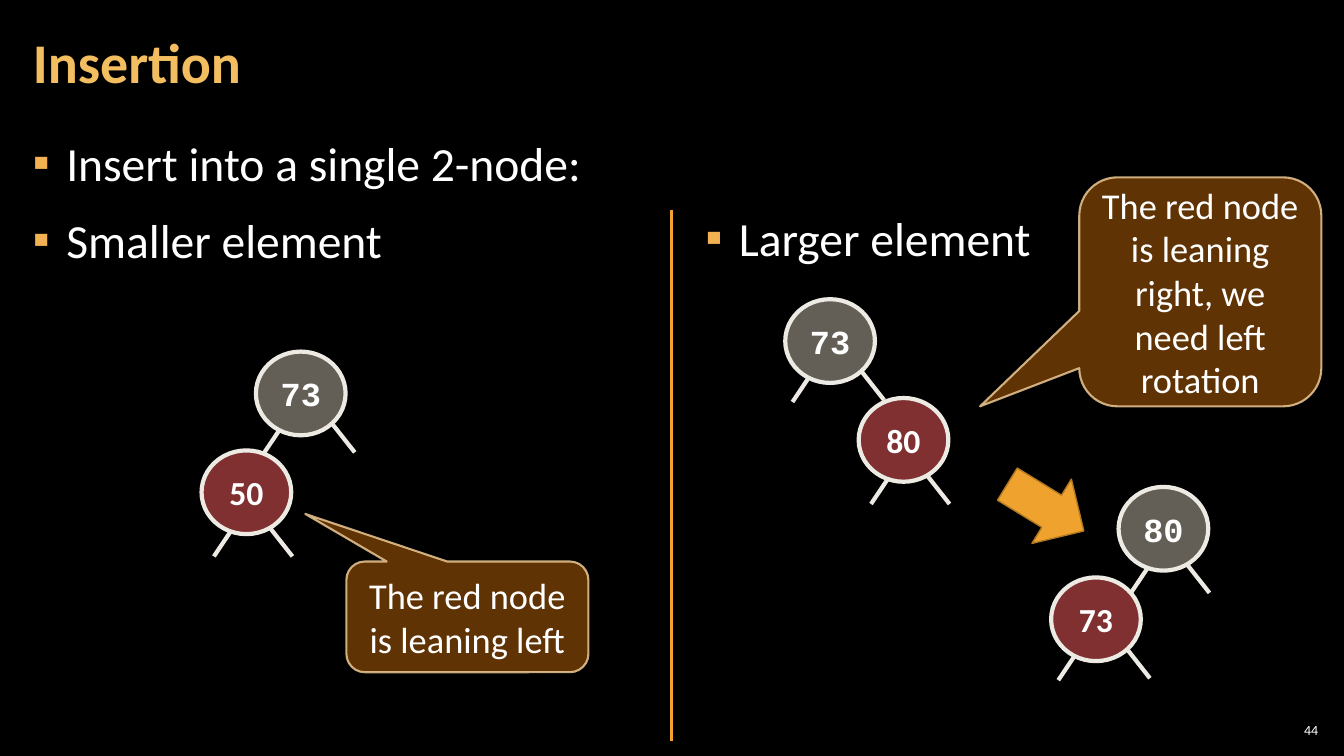
import pptx
import pptx.dml.color
import pptx.enum.shapes
import pptx.enum.text
import pptx.oxml.ns
import pptx.oxml.xmlchemy
import pptx.util
from lxml import etree
from pptx.dml.color import RGBColor
from pptx.util import Cm

BLACK = RGBColor(0x00, 0x00, 0x00)
WHITE = RGBColor(0xFF, 0xFF, 0xFF)
GOLD = RGBColor(0xF3, 0xBE, 0x60)
BULLET = RGBColor(0xF2, 0xB2, 0x54)
ORANGE = RGBColor(0xF0, 0xA2, 0x2E)
ARROW_EDGE = RGBColor(0xB2, 0x78, 0x22)
RED_NODE = RGBColor(0xFF, 0x61, 0x61)
BLACK_NODE = RGBColor(0xC7, 0xBF, 0xAC)
NODE_EDGE = RGBColor(0xEC, 0xEA, 0xE3)
CALLOUT = RGBColor(0x66, 0x36, 0x06)
CALLOUT_EDGE = RGBColor(0xF8, 0xD4, 0x9E)

ALIGN = pptx.enum.text.PP_ALIGN
ANCHOR = pptx.enum.text.MSO_ANCHOR
SHAPE = pptx.enum.shapes.MSO_SHAPE
qn = pptx.oxml.ns.qn

# Node size and legs, in centimetres from the node's top left corner
NODE_WIDTH, NODE_HEIGHT = 2.26, 2.11
LEFT_LEG, RIGHT_LEG = (-0.43, 0.64), (0.56, 0.71)
NARROW_LEGS = ((0.74, 2.03), (1.73, 1.96))
WIDE_LEGS = ((0.61, 1.95), (1.93, 1.83))


def write(para, text, *, size, color=WHITE, font="Calibri", bold=False,
          align=ALIGN.LEFT, spacing=None):
    """Add one formatted span of text to a paragraph."""
    para.alignment = align
    if spacing:
        para.line_spacing = spacing
    span = para.add_run()
    span.text = text
    span.font.size = pptx.util.Pt(size)
    span.font.name = font
    span.font.bold = bold
    span.font.color.rgb = color


def set_alpha(shape, color_path, percent):
    color = shape.element.spPr.find("/".join(qn(tag) for tag in color_path))
    etree.SubElement(color, qn("a:alpha")).set("val", str(percent * 1000))


class SlideBuilder:
    """Holds the current slide and draws each kind of element on it."""

    def __init__(self, page):
        self.page = page
        page.background.fill.solid()
        page.background.fill.fore_color.rgb = BLACK

    def place(self, box, left, top, width, height, anchor, inset):
        box.left, box.top = Cm(left), Cm(top)
        box.width, box.height = Cm(width), Cm(height)
        frame = box.text_frame
        frame.word_wrap = True
        frame.auto_size = pptx.enum.text.MSO_AUTO_SIZE.NONE
        frame.vertical_anchor = anchor
        frame.margin_left = frame.margin_right = Cm(inset)
        frame.margin_top = frame.margin_bottom = Cm(0.1)
        return frame

    def title(self, text, *area):
        frame = self.place(self.page.shapes.title, *area, ANCHOR.MIDDLE, 0.3)
        write(frame.paragraphs[0], text, size=40, color=GOLD, bold=True,
              spacing=0.9)

    def bullets(self, index, items, *area):
        frame = self.place(self.page.placeholders[index], *area, ANCHOR.TOP, 0.3)
        for number, item in enumerate(items):
            para = frame.add_paragraph() if number else frame.paragraphs[0]
            para.space_before = pptx.util.Pt(6 if number else 0)
            para.space_after = pptx.util.Pt(6)
            props = para._p.get_or_add_pPr()
            props.set("marL", str(Cm(0.84)))
            props.set("indent", str(-Cm(0.84)))
            color = etree.SubElement(props, qn("a:buClr"))
            etree.SubElement(color, qn("a:srgbClr")).set("val", str(BULLET))
            etree.SubElement(props, qn("a:buFont")).set("typeface", "Calibri")
            etree.SubElement(props, qn("a:buChar")).set("char", "▪")
            write(para, item, size=34, spacing=1.05)

    def page_number(self, text, *area):
        box = self.page.shapes.add_textbox(0, 0, 0, 0)
        frame = self.place(box, *area, ANCHOR.MIDDLE, 0.1)
        write(frame.paragraphs[0], text, size=10, align=ALIGN.RIGHT)

    def line(self, start, end, color, width):
        line = self.page.shapes.add_connector(
            pptx.enum.shapes.MSO_CONNECTOR.STRAIGHT,
            *(Cm(value) for value in (*start, *end)))
        line.line.color.rgb = color
        line.line.width = pptx.util.Pt(width)
        etree.SubElement(line.element.spPr, qn("a:effectLst"))

    def shape(self, kind, area, fill, edge, width):
        shape = self.page.shapes.add_shape(kind, *(Cm(value) for value in area))
        shape.shadow.inherit = False
        shape.fill.solid()
        shape.fill.fore_color.rgb = fill
        shape.line.color.rgb = edge
        shape.line.width = pptx.util.Pt(width)
        shape.text_frame.vertical_anchor = ANCHOR.MIDDLE
        return shape

    def node(self, text, left, top, fill, legs):
        node = self.shape(SHAPE.OVAL, (left, top, NODE_WIDTH, NODE_HEIGHT),
                          fill, NODE_EDGE, 3)
        set_alpha(node, ("a:solidFill", "a:srgbClr"), 50)
        node.text_frame.word_wrap = False
        font = "Courier New" if fill == BLACK_NODE else "Calibri"
        write(node.text_frame.paragraphs[0], text, size=24, font=font,
              bold=True, align=ALIGN.CENTER)
        for (x, y), (dx, dy) in zip(legs, (LEFT_LEG, RIGHT_LEG)):
            self.line((left + x, top + y), (left + x + dx, top + y + dy),
                      NODE_EDGE, 3)

    def callout(self, text, area, tip):
        callout = self.shape(SHAPE.ROUNDED_RECTANGULAR_CALLOUT, area,
                             CALLOUT, CALLOUT_EDGE, 1.5)
        callout.adjustments[0], callout.adjustments[1] = tip
        set_alpha(callout, ("a:solidFill", "a:srgbClr"), 95)
        set_alpha(callout, ("a:ln", "a:solidFill", "a:srgbClr"), 80)
        callout.text_frame.word_wrap = True
        write(callout.text_frame.paragraphs[0], text, size=26,
              align=ALIGN.CENTER)

    def arrow(self, area, rotation):
        arrow = self.shape(SHAPE.RIGHT_ARROW, area, ORANGE, ARROW_EDGE, 1)
        arrow.rotation = rotation


def main():
    deck = pptx.Presentation()
    deck.slide_width, deck.slide_height = Cm(33.87), Cm(19.05)
    two_content = deck.slide_layouts[3]
    slide = SlideBuilder(deck.slides.add_slide(two_content))

    # Heading, lists and divider
    slide.page_number("44", 32.13, 18.14, 1.19, 0.53)
    slide.title("Insertion", 0.53, 0.1, 26.59, 3.07)
    slide.bullets(1, ["Insert into a single 2-node:", "Smaller element"],
                  0.53, 3.2, 16, 15.47)
    slide.bullets(2, ["Larger element"], 17.48, 5.1, 15.11, 13.57)
    slide.line((16.92, 5.28), (16.92, 18.67), ORANGE, 2)

    # Smaller element: the red node leans left
    slide.node("50", 5.08, 11.35, RED_NODE, NARROW_LEGS)
    slide.node("73", 6.45, 8.86, BLACK_NODE, WIDE_LEGS)
    slide.callout("The red node is leaning left",
                  (8.73, 14.15, 6.1, 2.79), (-0.67, -0.93))

    # Larger element: the red node leans right
    slide.node("80", 21.64, 10.03, RED_NODE, NARROW_LEGS)
    slide.node("73", 19.79, 7.54, BLACK_NODE, WIDE_LEGS)
    slide.callout("The red node is leaning right, we need left rotation",
                  (27.2, 4.47, 6.1, 5.77), (-0.91, 0.5))

    # After the left rotation
    slide.arrow((25.22, 11.84, 2.26, 1.9), 31.5)
    slide.node("80", 28.19, 12.27, BLACK_NODE, NARROW_LEGS)
    slide.node("73", 26.49, 14.55, RED_NODE, WIDE_LEGS)

    deck.save("out.pptx")


if __name__ == "__main__":
    main()
